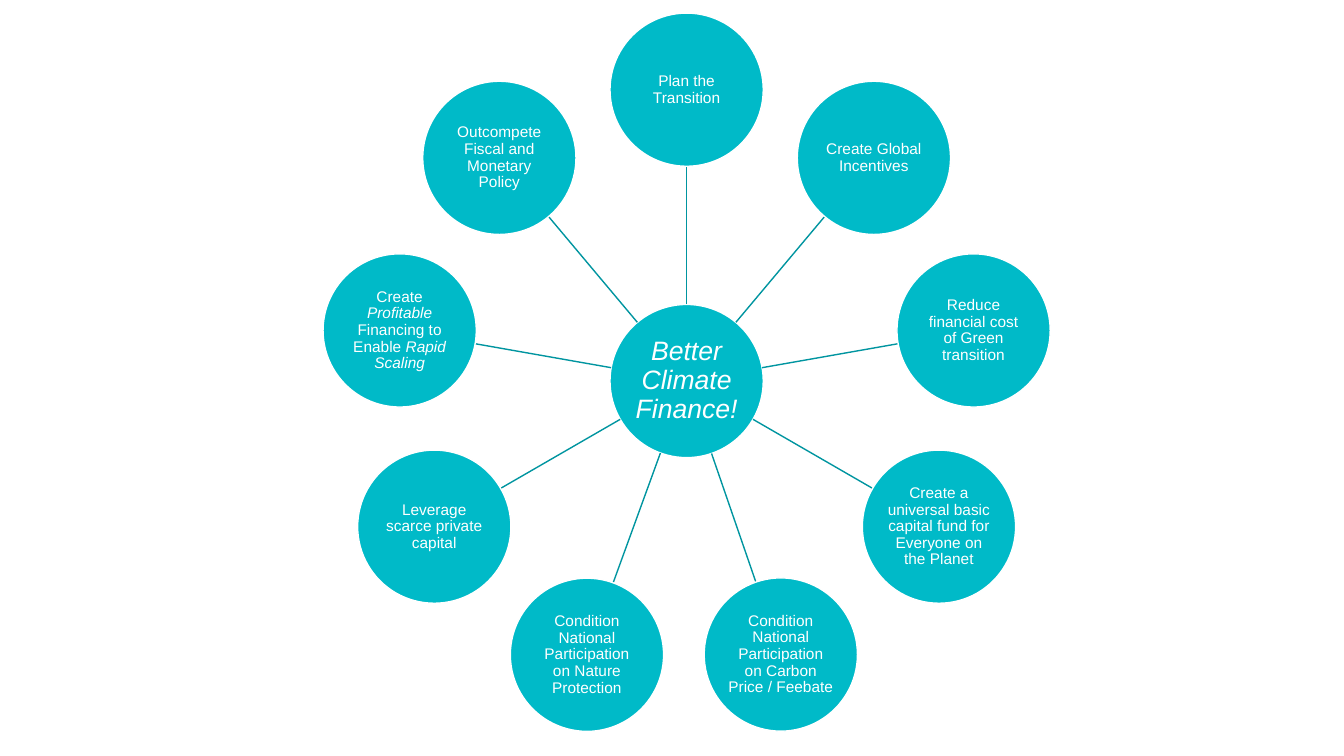
from math import cos, radians, sin

from lxml import etree
from pptx import Presentation
from pptx.dml.color import RGBColor
from pptx.enum import shapes, text
from pptx.oxml.ns import qn
from pptx.util import Pt

# Content: runs are (text, italic); nodes are (angle clockwise from top, radius, runs)
HUB = [("Better Climate Finance!", True)]
RING = 289
NODES = [
    (0, RING, [("Plan the Transition", False)]),
    (40, RING, [("Create Global Incentives", False)]),
    (80, RING, [("Reduce financial cost of Green transition", False)]),
    (120, RING, [("Create a universal basic capital fund for Everyone on the Planet", False)]),
    (161, 287, [("Condition National Participation on Carbon Price / Feebate", False)]),
    (200, RING, [("Condition National Participation on Nature Protection", False)]),
    (240, RING, [("Leverage scarce private capital", False)]),
    (280, RING, [("Create ", False), ("Profitable ", True),
                 ("Financing to Enable ", False), ("Rapid Scaling", True)]),
    (320, RING, [("Outcompete Fiscal and Monetary Policy", False)]),
]

TEAL = RGBColor(0x00, 0xBA, 0xC8)
DEEP = RGBColor(0x00, 0x95, 0xA0)
WHITE = RGBColor(0xFF, 0xFF, 0xFF)

# Geometry in px, 100 to the inch
PX = 9144
WIDE, HIGH = 1333, 750
MID_X, MID_Y = 681, 378
DISC = 152


def emu(px):
    return round(px * PX)


def polar(angle, radius):
    turn = radians(angle)
    return MID_X + radius * sin(turn), MID_Y - radius * cos(turn)


def write(frame, runs, size=11, color=WHITE, font="Arial"):
    frame.word_wrap = True
    frame.vertical_anchor = text.MSO_ANCHOR.MIDDLE
    frame.margin_left = frame.margin_right = emu(1)
    frame.margin_top = frame.margin_bottom = emu(1)
    para = frame.paragraphs[0]
    para.alignment = text.PP_ALIGN.CENTER
    para.line_spacing = 0.9
    for words, italic in runs:
        run = para.add_run()
        run.text = words
        run.font.name = font
        run.font.size = Pt(size)
        run.font.italic = italic
        run.font.color.rgb = color


def disc(slide, x, y, runs, **style):
    shape = slide.shapes.add_shape(
        shapes.MSO_SHAPE.OVAL, emu(x - DISC / 2), emu(y - DISC / 2), emu(DISC), emu(DISC))
    shape.shadow.inherit = False
    shape.fill.solid()
    shape.fill.fore_color.rgb = TEAL
    shape.line.color.rgb = WHITE
    shape.line.width = Pt(1)
    write(shape.text_frame, runs, **style)
    return shape


def spoke(slide, start, end):
    line = slide.shapes.add_connector(
        shapes.MSO_CONNECTOR.STRAIGHT, *(emu(v) for v in (*start, *end)))
    line.line.color.rgb = DEEP
    line.line.width = Pt(1)
    etree.SubElement(line._element.spPr, qn("a:effectLst"))
    return line


def main():
    deck = Presentation()
    deck.slide_width, deck.slide_height = emu(WIDE), emu(HIGH)
    slide = deck.slides.add_slide(deck.slide_layouts[6])

    # Hub
    hub = disc(slide, MID_X, MID_Y, HUB, size=19)

    # Spokes and outer discs
    for angle, radius, runs in NODES:
        line = spoke(slide, polar(angle, DISC / 2), polar(angle, radius - DISC / 2))
        if angle == 0:
            line.begin_connect(hub, 0)
        disc(slide, *polar(angle, radius), runs)

    deck.save("out.pptx")


if __name__ == "__main__":
    main()
